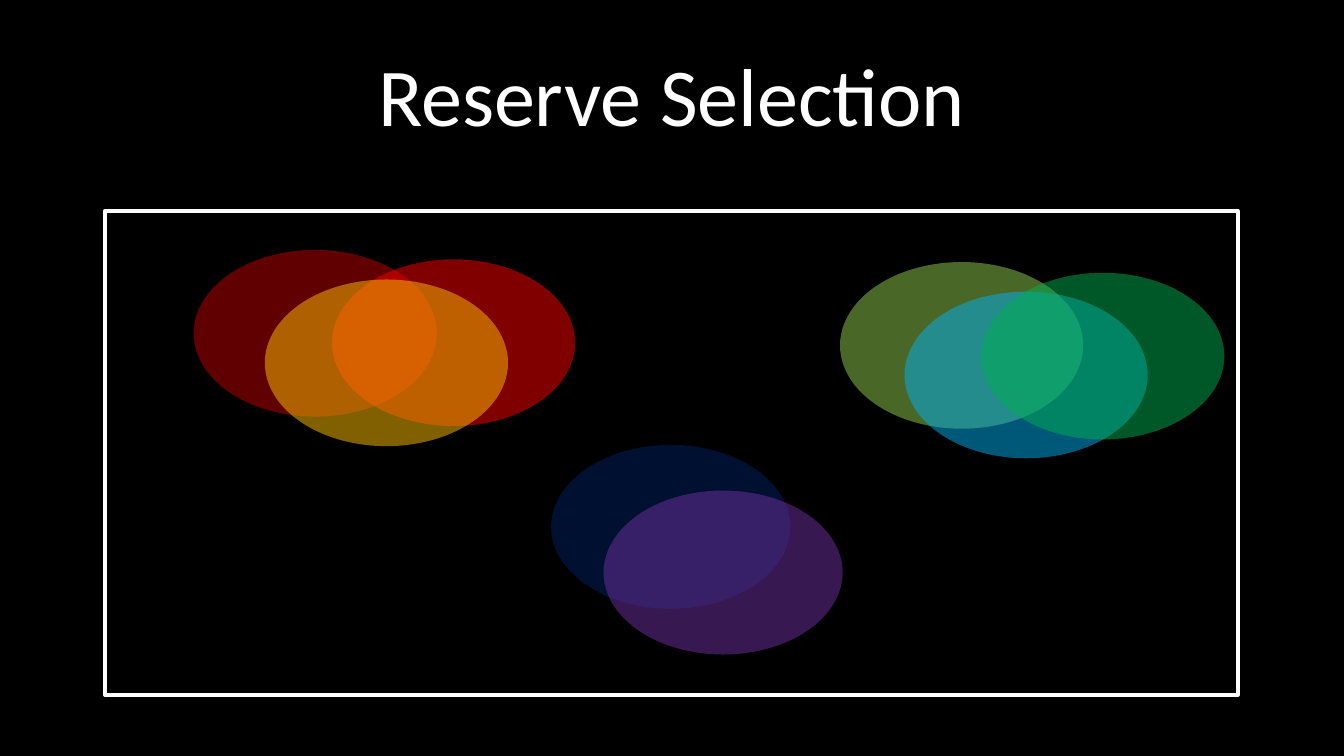
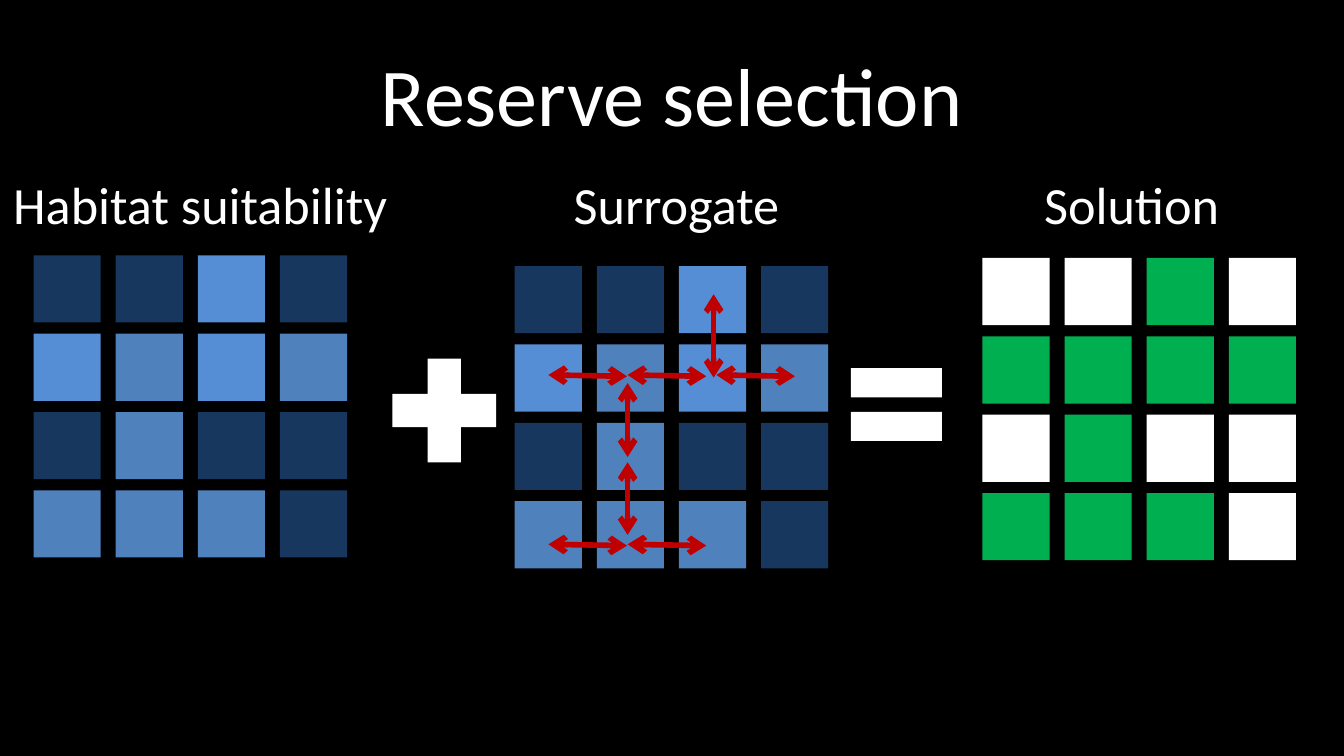
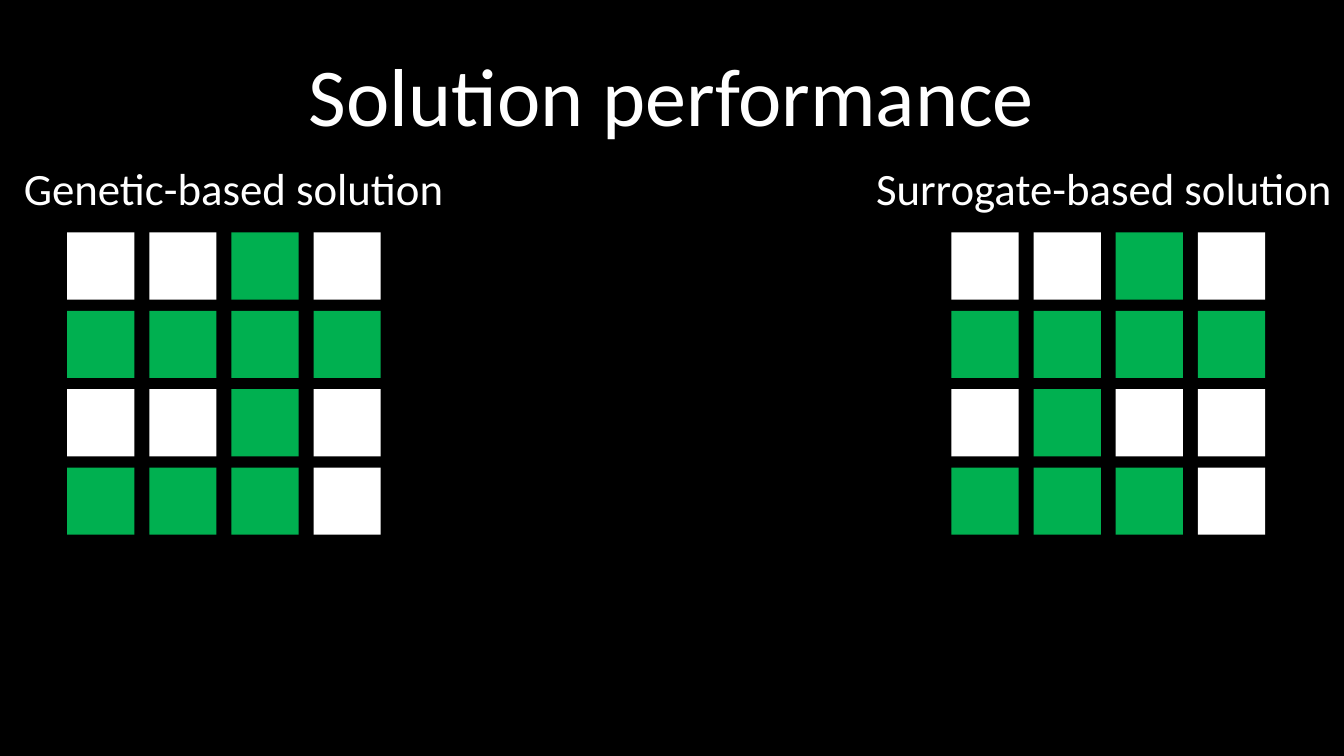
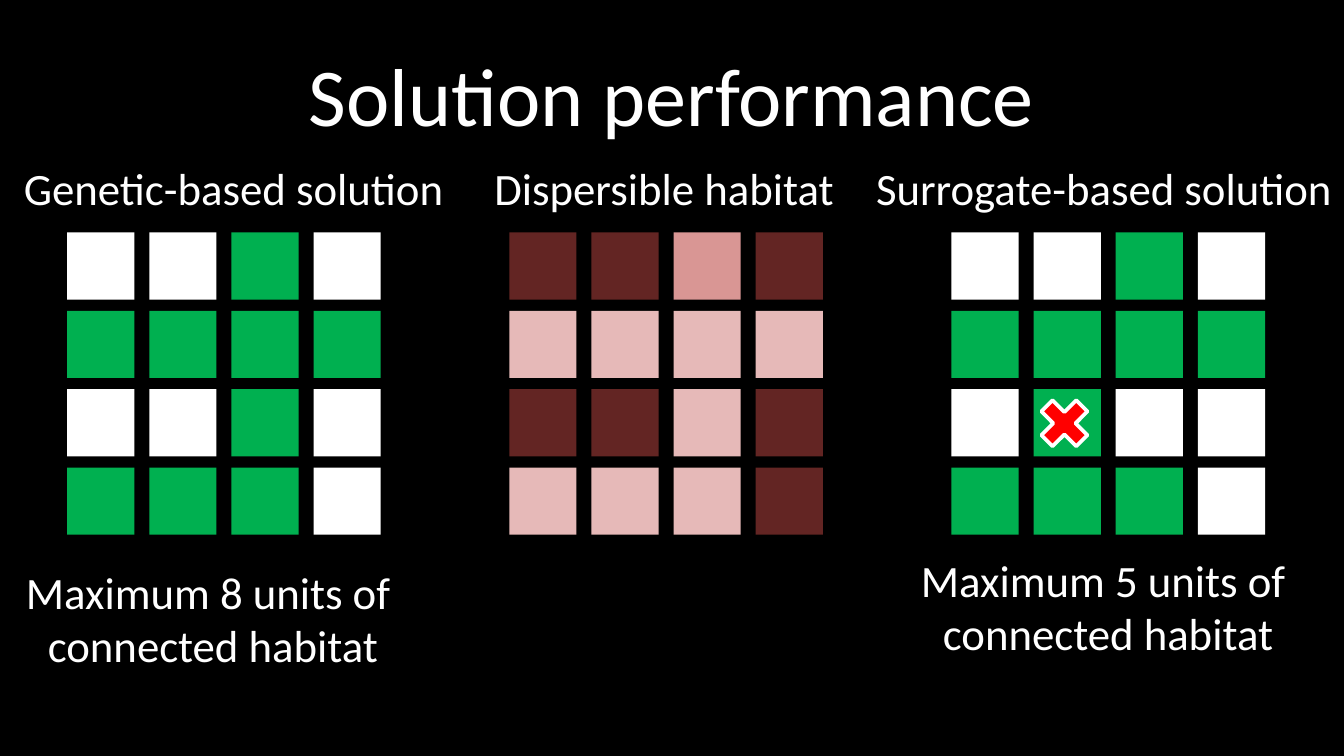
from dataclasses import dataclass

from lxml import etree
from pptx import Presentation
from pptx import util as u
from pptx.dml.color import RGBColor
from pptx.enum import shapes, text
from pptx.oxml.ns import qn


@dataclass(frozen=True)
class Theme:
    font: str = "Calibri"
    title_size: int = 44
    heading_size: int = 28
    label_size: int = 24
    outline: int = 2
    arrow_width: int = 3
    background: str = "000000"
    white: str = "FFFFFF"
    reserve: str = "00B050"
    arrow: str = "C00000"
    cross: str = "FF0000"
    low: str = "17375E"
    medium: str = "4F81BD"
    high: str = "558ED5"
    barrier: str = "632523"
    reachable: str = "E6B9B8"
    source: str = "D99694"


theme = Theme()
kinds = shapes.MSO_SHAPE

prs = Presentation()
prs.slide_width, prs.slide_height = u.Inches(10), u.Inches(5.625)
blank = prs.slide_layouts[6]
backdrop = prs.slide_master.background.fill
backdrop.solid()
backdrop.fore_color.rgb = RGBColor.from_string(theme.background)

# Layout grid: square units, 100 to the slide's width
UNIT = prs.slide_width / 100
TITLE_BOX = (5, 2.3, 90, 9.4)
CELL, COLUMN_STEP, ROW_STEP = 5, 6.11, 5.83


def add_text(slide, box, lines, size, centred=False, wrap=False):
    frame = slide.shapes.add_textbox(*[int(v * UNIT) for v in box]).text_frame
    frame.word_wrap = wrap
    if wrap:
        frame.vertical_anchor = text.MSO_ANCHOR.MIDDLE
    else:
        frame.auto_size = text.MSO_AUTO_SIZE.SHAPE_TO_FIT_TEXT
    frame.text = lines
    for paragraph in frame.paragraphs:
        paragraph.alignment = text.PP_ALIGN.CENTER if centred else text.PP_ALIGN.LEFT
        paragraph.font.name = theme.font
        paragraph.font.size = u.Pt(size)
        paragraph.font.color.rgb = RGBColor.from_string(theme.white)


def add_figure(parent, kind, box, fill=None, line=None, opacity=100):
    figure = parent.add_shape(kind, *[int(v * UNIT) for v in box])
    figure.shadow.inherit = False
    if fill:
        figure.fill.solid()
        figure.fill.fore_color.rgb = RGBColor.from_string(fill)
    else:
        figure.fill.background()
    if opacity < 100:
        colour = figure.element.spPr.find(qn("a:solidFill"))[0]
        etree.SubElement(colour, qn("a:alpha"), val=str(opacity * 1000))
    if line:
        figure.line.color.rgb = RGBColor.from_string(line)
        figure.line.width = u.Pt(theme.outline)
    else:
        figure.line.fill.background()


# Titles
titles = ["Reserve Selection", "Reserve selection",
          "Solution performance", "Solution performance"]
slides = []
for title in titles:
    slide = prs.slides.add_slide(blank)
    add_text(slide, TITLE_BOX, title, theme.title_size, centred=True, wrap=True)
    slides.append(slide)
ranges, selection, comparison, outcome = slides

# Slide 1: overlapping species ranges in the study area
add_figure(ranges.shapes, kinds.RECTANGLE, (7.8, 15.7, 84.3, 36), line=theme.white)
large, small = (18.1, 12.4), (17.8, 12.2)
for left, top, extent, colour in [
    (41, 33.1, small, "002060"),
    (14.4, 18.6, large, "C00000"),
    (24.7, 19.3, large, "FF0000"),
    (62.5, 19.5, large, "92D050"),
    (67.3, 21.7, large, "00B0F0"),
    (73, 20.3, large, "00B050"),
    (44.9, 36.5, small, "7030A0"),
    (19.7, 20.8, large, "FFC000"),
]:
    add_figure(ranges.shapes, kinds.OVAL, (left, top, *extent), colour, opacity=50)

# Landscape maps: one letter a cell, one word a row
cell_colours = {
    "l": theme.low, "m": theme.medium, "h": theme.high,
    "w": theme.white, "r": theme.reserve,
    "b": theme.barrier, "d": theme.reachable, "s": theme.source,
}
habitat = "llhl hmhm lmll mmml"
genetic = "wwrw rrrr wwrw rrrw"
surrogate = "wwrw rrrr wrww rrrw"
dispersible = "bbsb dddd bbdb dddb"

for slide, left, top, landscape in [
    (selection, 2.5, 19, habitat),
    (selection, 73.1, 19.2, surrogate),
    (selection, 38.3, 19.8, habitat),
    (comparison, 5, 17.3, genetic),
    (comparison, 70.8, 17.3, surrogate),
    (outcome, 37.9, 17.3, dispersible),
    (outcome, 5, 17.3, genetic),
    (outcome, 70.8, 17.3, surrogate),
]:
    cells = slide.shapes.add_group_shape().shapes
    for row, letters in enumerate(landscape.split()):
        for column, letter in enumerate(letters):
            corner = (left + column * COLUMN_STEP, top + row * ROW_STEP)
            add_figure(cells, kinds.RECTANGLE, (*corner, CELL, CELL), cell_colours[letter])

# Slide 2: operators between the maps
add_figure(selection.shapes, kinds.MATH_PLUS, (27.8, 25.3, 10.5, 10.5), theme.white)
add_figure(selection.shapes, kinds.MATH_EQUAL, (62.1, 25.5, 9.2, 9.2), theme.white)

# Slide 2: dispersal links between neighbouring cells
across = [(x, y, x + 5.85, y + 0.1) for x, y in
          [(40.8, 40.5), (46.7, 40.5), (40.8, 27.9), (46.7, 27.9), (53.3, 27.9)]]
upward = [(x, start, x, end) for x, start, end in
          [(46.7, 39.8, 34.4), (46.7, 34, 28.5), (53.1, 28.1, 21.9)]]
for ends in across + upward:
    link = selection.shapes.add_connector(
        shapes.MSO_CONNECTOR.STRAIGHT, *[int(v * UNIT) for v in ends])
    link.line.color.rgb = RGBColor.from_string(theme.arrow)
    link.line.width = u.Pt(theme.arrow_width)
    properties = link.element.spPr
    for tip in ("a:headEnd", "a:tailEnd"):
        etree.SubElement(properties.find(qn("a:ln")), qn(tip), type="arrow")
    etree.SubElement(properties, qn("a:effectLst"))

# Map headings
for left, width, heading in [(0, 30.1, "Habitat suitability"),
                             (41.7, 17.5, "Surrogate"),
                             (76.7, 15.2, "Solution")]:
    add_text(selection, (left, 12.3, width, 5.7), heading, theme.heading_size)

for slide in (comparison, outcome):
    for left, width, heading in [(0.8, 33.6, "Genetic-based solution"),
                                 (64.2, 36.3, "Surrogate-based solution")]:
        add_text(slide, (left, 11.5, width, 5), heading, theme.label_size)
add_text(outcome, (35.8, 11.5, 27.5, 5), "Dispersible habitat", theme.label_size)

# Slide 4: broken link and connected habitat totals
add_figure(outcome.shapes, kinds.MATH_MULTIPLY, (76.7, 29, CELL, CELL),
           theme.cross, line=theme.white)
for left, top, units in [(0.8, 41.5, 8), (67.4, 40.6, 5)]:
    add_text(outcome, (left, top, 30.1, 9.1),
             f"Maximum {units} units of \nconnected habitat", theme.label_size, centred=True)

prs.save("out.pptx")
